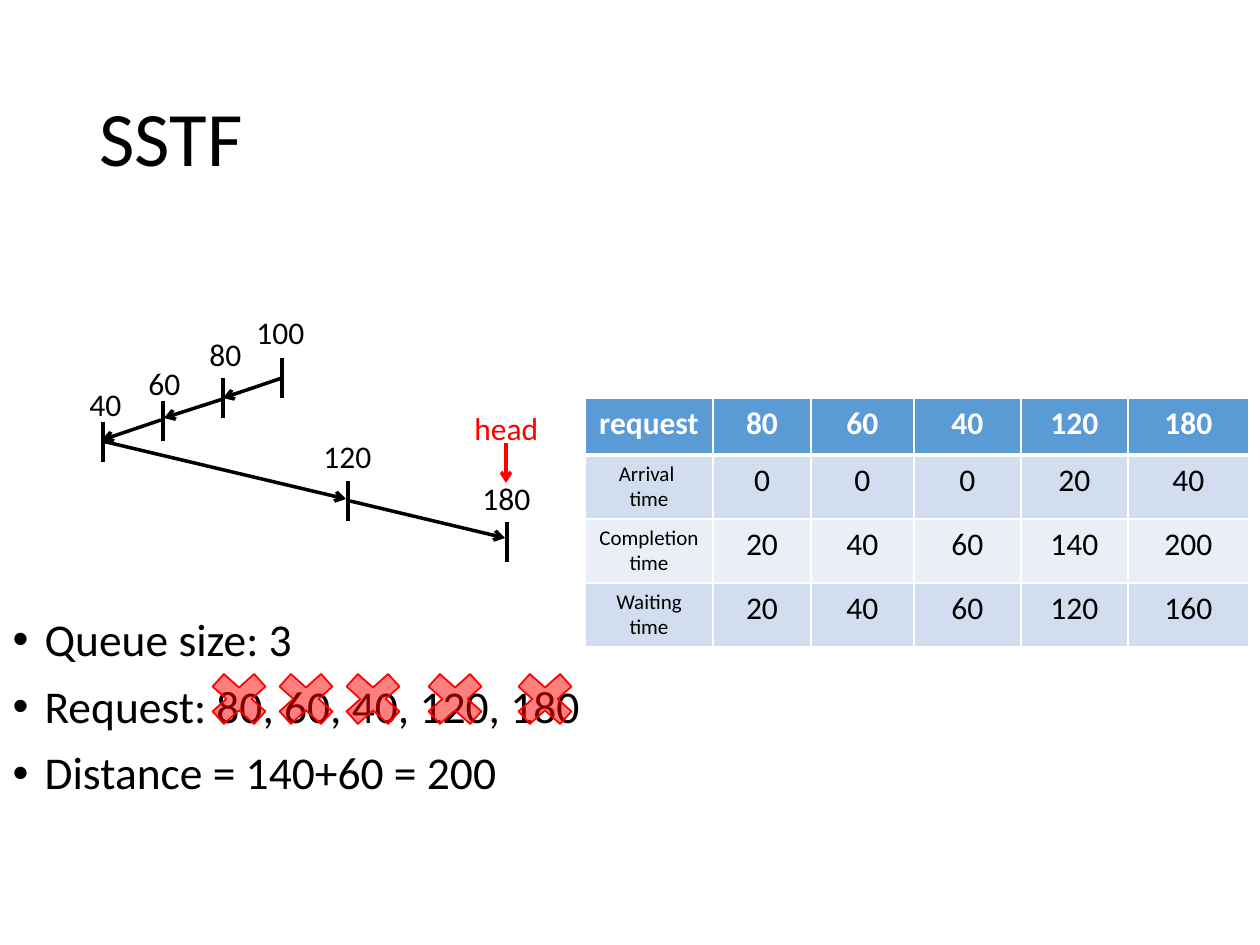
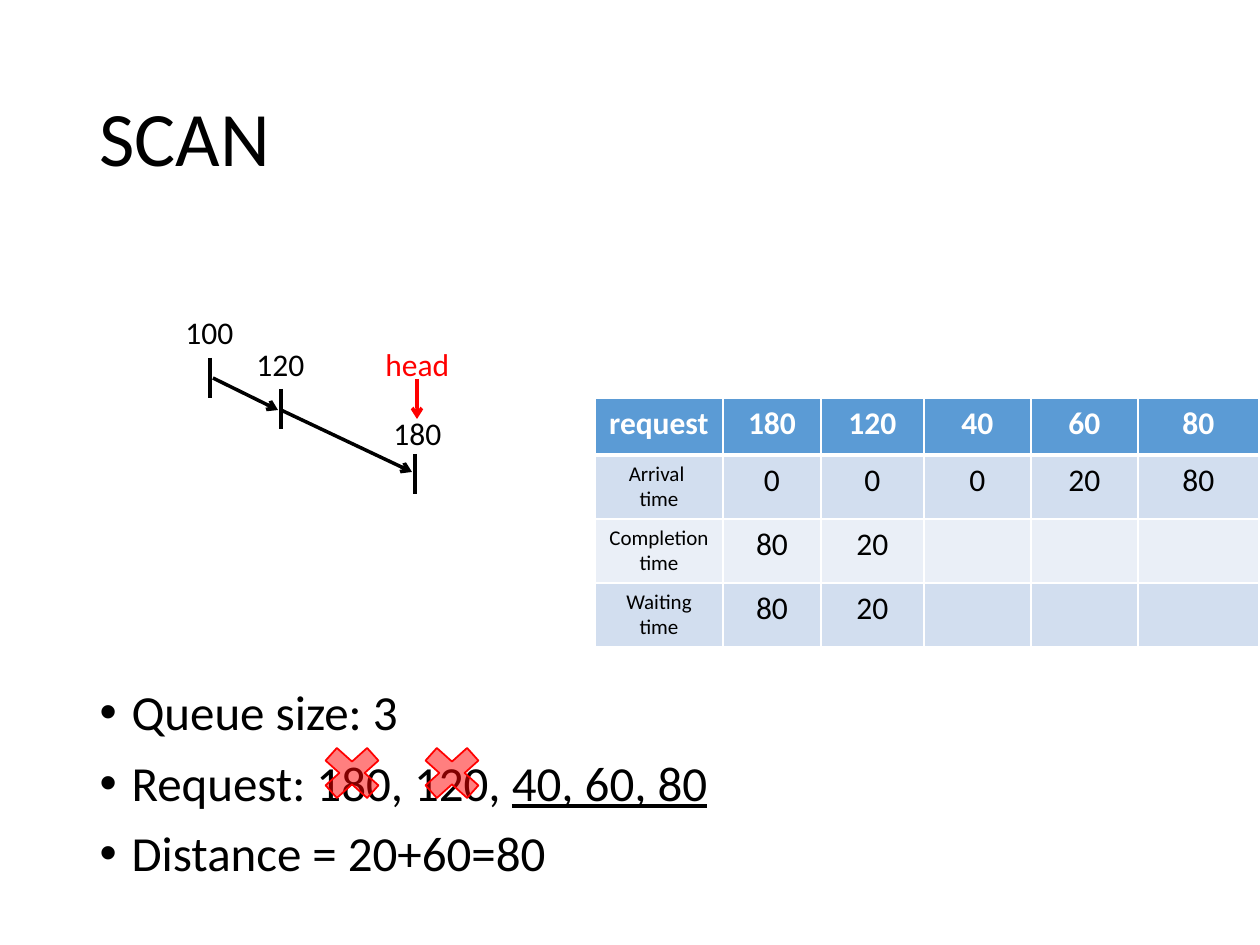
from lxml import etree
from pptx import Presentation
from pptx.dml.color import RGBColor
from pptx.enum.shapes import MSO_CONNECTOR, MSO_SHAPE
from pptx.enum.text import MSO_ANCHOR, MSO_AUTO_SIZE, PP_ALIGN
from pptx.oxml.ns import qn
from pptx.util import Emu, Pt

STRAIGHT = MSO_CONNECTOR.STRAIGHT
MULTIPLY = MSO_SHAPE.MATH_MULTIPLY
MIDDLE, TOP = MSO_ANCHOR.MIDDLE, MSO_ANCHOR.TOP
CENTER, LEFT = PP_ALIGN.CENTER, PP_ALIGN.LEFT
NO_FIT, GROW = MSO_AUTO_SIZE.NONE, MSO_AUTO_SIZE.SHAPE_TO_FIT_TEXT

PIXEL = 914400 / 126
COLOURS = {
    "ink": "000000",
    "paper": "FFFFFF",
    "alert": "FF0000",
    "header": "5B9BD5",
    "odd_row": "D2DEEF",
    "even_row": "EAEFF7",
}
FONT = "Calibri"
FRAMES = {
    "title": {"vertical_anchor": MIDDLE, "auto_size": NO_FIT, "word_wrap": True},
    "body": {"vertical_anchor": TOP, "auto_size": NO_FIT, "word_wrap": True},
    "label": {"auto_size": GROW, "word_wrap": True},
}
PARAGRAPHS = {
    "title": {"alignment": LEFT, "line_spacing": 0.9},
    "body": {"alignment": LEFT, "line_spacing": 0.9, "space_before": Pt(10)},
    "cell": {"alignment": CENTER},
}
COLUMN_WIDTHS = [128, 98, 103, 107, 107, 121]
ROW_HEIGHTS = [57, 63, 64, 64]
ROW_COLOURS = ["header", "odd_row", "even_row", "odd_row"]
ROW_TITLES = ["request", "Arrival \ntime", "Completion time", "Waiting\ntime"]
TICK_HEIGHT = 40
INDENT = 32


def px(length):
    return Emu(round(length * PIXEL))


def box(*lengths):
    return [px(length) for length in lengths]


def rgb(name):
    return RGBColor.from_string(COLOURS[name])


def apply(target, values):
    for attribute, value in values.items():
        setattr(target, attribute, value)


def style_font(font, size, colour="ink", **extra):
    apply(font, {"name": FONT, "size": Pt(size), **extra})
    font.color.rgb = rgb(colour)


def place(placeholder, *lengths):
    apply(placeholder, dict(zip(("left", "top", "width", "height"), box(*lengths))))


def add_title(slide, text):
    title = slide.shapes.title
    place(title, 87, 50, 1086, 183)
    apply(title.text_frame, FRAMES["title"])
    heading = title.text_frame.paragraphs[0]
    apply(heading, PARAGRAPHS["title"])
    run = heading.add_run()
    run.text = text
    style_font(run.font, 44)


def add_summary(slide, lines, area, size):
    body = slide.placeholders[1]
    place(body, *area)
    frame = body.text_frame
    apply(frame, FRAMES["body"])
    for index, line in enumerate(lines):
        paragraph = frame.add_paragraph() if index else frame.paragraphs[0]
        apply(paragraph, PARAGRAPHS["body"])
        if index == 0:
            paragraph.space_before = Pt(0)
        properties = paragraph._p.get_or_add_pPr()
        properties.set("marL", str(px(INDENT)))
        properties.set("indent", str(-px(INDENT)))
        for text, underlined in line:
            run = paragraph.add_run()
            run.text = text
            style_font(run.font, size, underline=underlined)


def add_border(cell, side, width):
    edge = etree.SubElement(cell._tc.get_or_add_tcPr(), qn(f"a:{side}"), w=str(Pt(width)))
    fill = etree.SubElement(edge, qn("a:solidFill"))
    etree.SubElement(fill, qn("a:srgbClr"), val=COLOURS["paper"])


def fill_cell(cell, text, row, column):
    for side in ("lnL", "lnR", "lnT", "lnB"):
        heavy = (row, side) in ((0, "lnB"), (1, "lnT"))
        add_border(cell, side, 3 if heavy else 1)
    cell.fill.solid()
    cell.fill.fore_color.rgb = rgb(ROW_COLOURS[row])
    cell.text = text
    size = 12 if row and column == 0 else 18
    colour = "ink" if row else "paper"
    for paragraph in cell.text_frame.paragraphs:
        apply(paragraph, PARAGRAPHS["cell"])
        style_font(paragraph.font, size, colour)
        for run in paragraph.runs:
            style_font(run.font, size, colour, bold=row == 0)


def add_schedule(slide, left, values):
    area = box(left, 398, sum(COLUMN_WIDTHS), sum(ROW_HEIGHTS))
    table = slide.shapes.add_table(len(ROW_HEIGHTS), len(COLUMN_WIDTHS), *area).table
    for column, width in zip(table.columns, COLUMN_WIDTHS):
        column.width = px(width)
    for row, height in zip(table.rows, ROW_HEIGHTS):
        row.height = px(height)
    for row, (title, numbers) in enumerate(zip(ROW_TITLES, values)):
        for column, text in enumerate([title, *numbers]):
            fill_cell(table.cell(row, column), text, row, column)


def add_line(shapes, start, end, width, colour="ink", arrow=False):
    line = shapes.add_connector(STRAIGHT, *box(*start, *end))
    line.line.width = Pt(width)
    line.line.color.rgb = rgb(colour)
    properties = line._element.spPr
    if arrow:
        etree.SubElement(properties.find(qn("a:ln")), qn("a:tailEnd"), type="arrow")
    etree.SubElement(properties, qn("a:effectLst"))


def add_label(shapes, text, left, top, width, colour="ink"):
    label = shapes.add_textbox(*box(left, top, width, 50))
    apply(label.text_frame, FRAMES["label"])
    run = label.text_frame.paragraphs[0].add_run()
    run.text = text
    style_font(run.font, 18, colour)


def add_track(slide, track, x, top, label_left, label_top):
    mark = slide.shapes.add_group_shape().shapes
    add_line(mark, (x, top), (x, top + TICK_HEIGHT), 2.5)
    add_label(mark, track, label_left, label_top, 82 if len(track) == 3 else 72)


def add_head(slide, x, top):
    head = slide.shapes.add_group_shape().shapes
    add_line(head, (x, top), (x, top + 40), 2, "alert", arrow=True)
    add_label(head, "head", x - 44, top - 40, 94, "alert")


def add_cross(slide, left, top):
    cross = slide.shapes.add_shape(MULTIPLY, *box(left, top, 80, 72))
    cross.shadow.inherit = False
    cross.fill.solid()
    cross.fill.fore_color.rgb = rgb("alert")
    tint = cross._element.spPr.find(qn("a:solidFill")).find(qn("a:srgbClr"))
    etree.SubElement(tint, qn("a:alpha"), val="50000")
    cross.line.color.rgb = rgb("alert")
    cross.line.width = Pt(1)


def add_algorithm(deck, content):
    slide = deck.slides.add_slide(deck.slide_layouts[1])
    add_title(slide, content["title"])
    add_summary(slide, content["summary"], content["summary_area"], content["summary_size"])
    add_schedule(slide, content["table_left"], content["schedule"])
    for left in content["served"]:
        add_cross(slide, left, content["served_top"])
    for track in content["tracks"]:
        add_track(slide, *track)
    for start, end in content["moves"]:
        add_line(slide.shapes, start, end, 2, arrow=True)
    add_head(slide, *content["head"])


SSTF = {
    "title": "SSTF",
    "summary": [
        [("Queue size: 3", False)],
        [("Request: 80, 60, 40, 120, 180", False)],
        [("Distance = 140+60 = 200", False)],
    ],
    "summary_area": (0, 611, 1173, 282),
    "summary_size": 26,
    "table_left": 585,
    "schedule": [
        ["80", "60", "40", "120", "180"],
        ["0", "0", "0", "20", "40"],
        ["20", "40", "60", "140", "200"],
        ["20", "40", "60", "120", "160"],
    ],
    "served": [199, 266, 333, 415, 505],
    "served_top": 663,
    "tracks": [
        ("100", 282, 358, 244, 307),
        ("80", 223, 378, 197, 329),
        ("60", 163, 401, 136, 358),
        ("40", 103, 422, 77, 379),
        ("120", 348, 481, 311, 431),
        ("180", 507, 522, 470, 473),
    ],
    "moves": [
        ((282, 378), (223, 398)),
        ((223, 399), (164, 418)),
        ((161, 420), (102, 440)),
        ((102, 441), (346, 499)),
        ((350, 501), (505, 538)),
    ],
    "head": (506, 443),
}
SCAN = {
    "title": "SCAN",
    "summary": [
        [("Queue size: 3", False)],
        [("Request: 180, 120, ", False), ("40, 60, 80", True)],
        [("Distance = 20+60=80", False)],
    ],
    "summary_area": (87, 682, 1086, 263),
    "summary_size": 28,
    "table_left": 595,
    "schedule": [
        ["180", "120", "40", "60", "80"],
        ["0", "0", "0", "20", "80"],
        ["80", "20", "", "", ""],
        ["80", "20", "", "", ""],
    ],
    "served": [312, 412],
    "served_top": 737,
    "tracks": [
        ("100", 210, 358, 173, 307),
        ("120", 281, 389, 244, 339),
        ("180", 415, 454, 381, 408),
    ],
    "moves": [
        ((213, 378), (278, 410)),
        ((281, 410), (412, 472)),
    ],
    "head": (417, 379),
}


def main():
    deck = Presentation()
    deck.slide_width, deck.slide_height = box(1260, 945)
    for content in (SSTF, SCAN):
        add_algorithm(deck, content)
    deck.save("out.pptx")


main()
